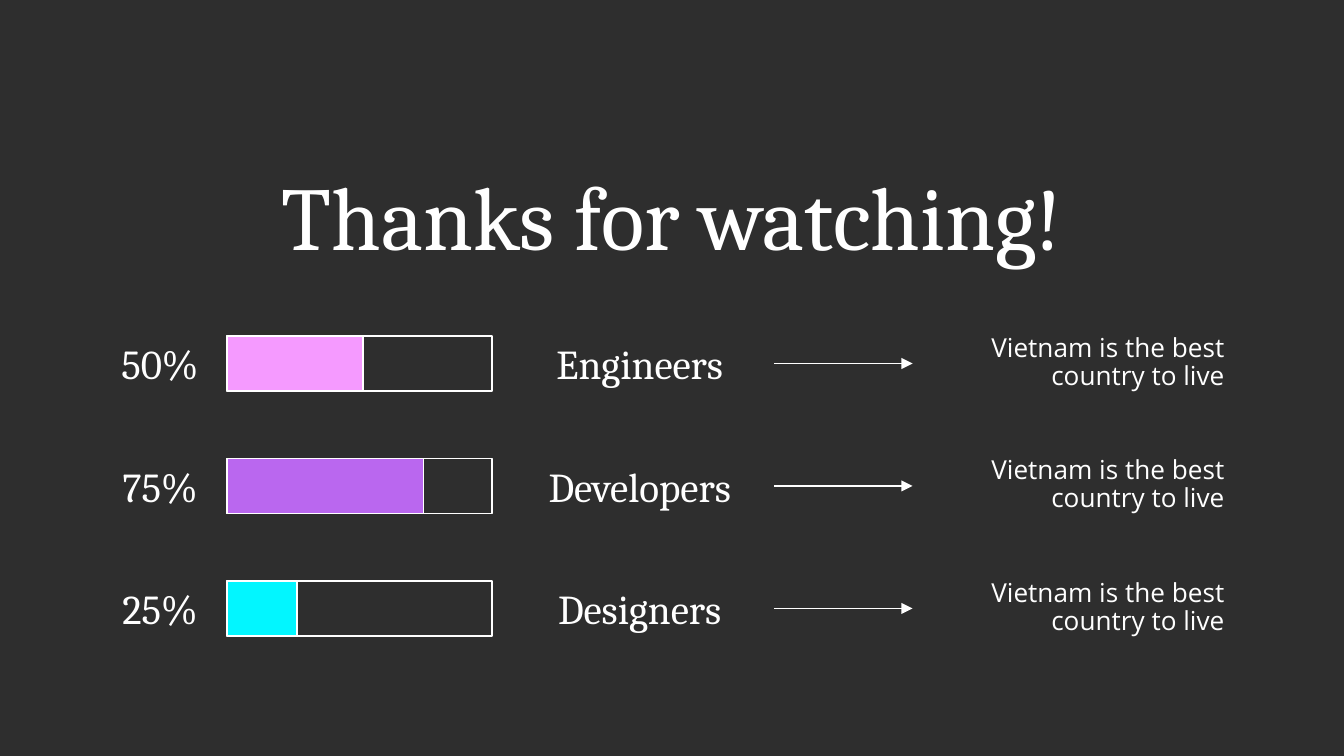
from dataclasses import dataclass

from lxml.etree import SubElement
from pptx import Presentation
from pptx.dml.color import RGBColor
from pptx.enum.shapes import MSO_CONNECTOR, MSO_SHAPE
from pptx.enum.text import MSO_ANCHOR, PP_ALIGN
from pptx.oxml.ns import qn
from pptx.util import Pt


@dataclass(frozen=True)
class Theme:
    """Colours, fonts and type sizes of the slide."""
    background: RGBColor = RGBColor.from_string("2E2E2E")
    ink: RGBColor = RGBColor.from_string("FFFFFF")
    pink: RGBColor = RGBColor.from_string("F59AFF")
    purple: RGBColor = RGBColor.from_string("BA67EF")
    cyan: RGBColor = RGBColor.from_string("02F6FF")
    serif: str = "Cambria"
    sans: str = "Open Sans"
    title: int = 48
    label: int = 22
    body: int = 14
    rule: float = 0.75
    inset: float = 7.2


THEME = Theme()
TITLE_FORMAT = {"name": THEME.serif, "size": Pt(THEME.title)}
LABEL_FORMAT = {"name": THEME.serif, "size": Pt(THEME.label)}
BODY_FORMAT = {"name": THEME.sans, "size": Pt(THEME.body)}
CENTRED = {"alignment": PP_ALIGN.CENTER}
RIGHT_TIGHT = {"alignment": PP_ALIGN.RIGHT, "line_spacing": 0.9}

ROWS = (
    ("50%", 72.72, THEME.pink, "Engineers", "Vietnam is the best country to live"),
    ("75%", 105.12, THEME.purple, "Developers", "Vietnam is the best country to live"),
    ("25%", 37.44, THEME.cyan, "Designers", "Vietnam is the best country to live"),
)


def apply_format(target, values):
    """Set each named attribute of the target."""
    for name, value in values.items():
        setattr(target, name, value)


def add_words(shape, words, font, paragraph_format, anchor):
    """Write one formatted paragraph into a shape."""
    frame = shape.text_frame
    margins = dict.fromkeys(
        ("margin_left", "margin_top", "margin_right", "margin_bottom"), Pt(THEME.inset))
    apply_format(frame, {"word_wrap": True, "vertical_anchor": anchor, **margins})
    paragraph = frame.paragraphs[0]
    apply_format(paragraph, paragraph_format)
    run = paragraph.add_run()
    run.text = words
    apply_format(run.font, font)
    run.font.color.rgb = THEME.ink


def add_text(slide, box, words, font, paragraph_format):
    """Place a top-aligned text box."""
    text = slide.shapes.add_textbox(*map(Pt, box))
    add_words(text, words, font, paragraph_format, MSO_ANCHOR.TOP)


def add_block(slide, box, fill=None, outlined=True):
    """Place a square-cornered block, filled or open."""
    block = slide.shapes.add_shape(MSO_SHAPE.ROUNDED_RECTANGLE, *map(Pt, box))
    block.adjustments[0] = 0
    block.shadow.inherit = False
    if fill is None:
        block.fill.background()
    else:
        block.fill.solid()
        block.fill.fore_color.rgb = fill
    if outlined:
        block.line.color.rgb = THEME.ink
        block.line.width = Pt(THEME.rule)
    else:
        block.line.fill.background()
    return block


def add_label(slide, box, words):
    """Place a centred label in an invisible block."""
    label = add_block(slide, box, outlined=False)
    add_words(label, words, LABEL_FORMAT, CENTRED, MSO_ANCHOR.MIDDLE)


def add_arrow(slide, left, right, middle):
    """Draw a level arrow pointing right."""
    arrow = slide.shapes.add_connector(
        MSO_CONNECTOR.STRAIGHT, *map(Pt, (left, middle, right, middle)))
    arrow.line.color.rgb = THEME.ink
    arrow.line.width = Pt(THEME.rule)
    SubElement(arrow.line._get_or_add_ln(), qn("a:tailEnd"), type="triangle")
    SubElement(arrow._element.spPr, qn("a:effectLst"))


def add_title(slide, box):
    """Place the closing title."""
    add_text(slide, box, "Thanks for watching!", TITLE_FORMAT, CENTRED)


def add_row(slide, box, content):
    """Place share, bar, role, arrow and remark along one row."""
    left, top, width, height = box
    share, filled_width, colour, role, remark = content
    share_width, bar_width, role_width, arrow_width, gap = 57.6, 141.84, 144, 74.16, 7.2
    bar_left = left + share_width + gap
    role_left = bar_left + bar_width + gap
    arrow_left = role_left + role_width
    remark_left = arrow_left + arrow_width
    remark_height = 45.36
    middle = top + height / 2

    add_label(slide, (left, top, share_width, height), share)
    add_block(slide, (bar_left, top, bar_width, height))
    add_block(slide, (bar_left, top, filled_width, height), colour)
    add_label(slide, (role_left, top, role_width, height), role)
    add_arrow(slide, arrow_left, remark_left, middle)
    add_text(slide, (remark_left, middle - remark_height / 2,
                     left + width - remark_left, remark_height),
             remark, BODY_FORMAT, RIGHT_TIGHT)


def main():
    """Build and save the closing slide."""
    deck = Presentation()
    apply_format(deck, {"slide_width": Pt(720), "slide_height": Pt(405)})
    slide = deck.slides.add_slide(deck.slide_layouts[6])
    slide.background.fill.solid()
    slide.background.fill.fore_color.rgb = THEME.background

    left, width = 56.88, 606.24
    first_row, row_pitch, row_height = 180, 65.6, 29.52
    add_title(slide, (left, 79.2, width, 45.36))
    for index, content in enumerate(ROWS):
        add_row(slide, (left, first_row + index * row_pitch, width, row_height), content)
    deck.save("out.pptx")


if __name__ == "__main__":
    main()
